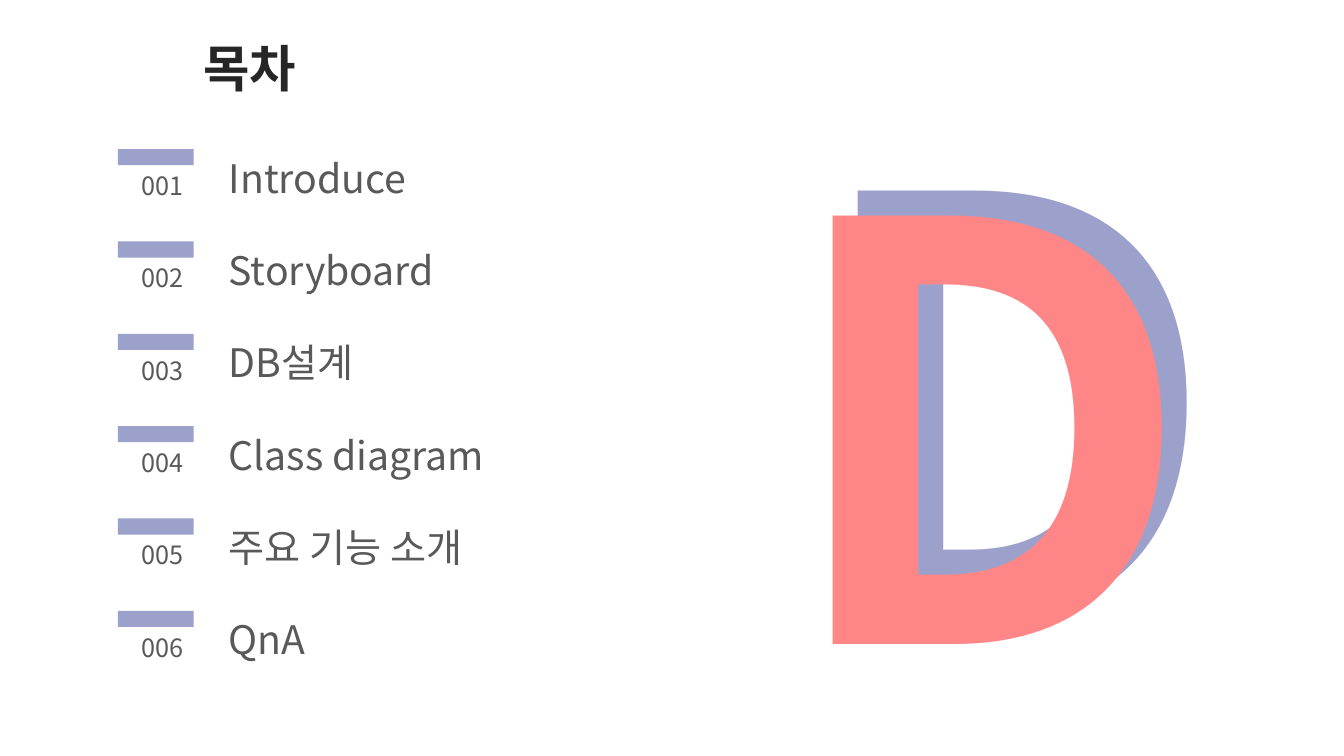
import lxml.etree
import pptx
import pptx.dml.color
import pptx.enum.shapes
import pptx.enum.text
import pptx.oxml.ns
import pptx.util

FONT = "Noto Sans CJK KR"
COLORS = {"lavender": "9CA1CC", "coral": "FF8687", "title": "262626", "body": "595959"}
WIDTH, HEIGHT = 13.33, 7.5
TOPICS = ["Introduce", "Storyboard", "DB설계", "Class diagram", "주요 기능 소개", "QnA"]


def inches(*lengths):
    return [pptx.util.Inches(length) for length in lengths]


def rgb(name):
    return pptx.dml.color.RGBColor.from_string(COLORS[name])


def add_text(shapes, box, text, size, color, bold=False, right=False):
    """Place one line of text in a box given as left, top, width, height."""
    frame = shapes.add_textbox(*inches(*box)).text_frame
    frame.word_wrap = True
    para = frame.paragraphs[0]
    para.text = text
    if right:
        para.alignment = pptx.enum.text.PP_ALIGN.RIGHT
    font = para.font
    font.size, font.bold, font.name = pptx.util.Pt(size), bold, FONT
    font.color.rgb = rgb(color)
    # Hangul takes its typeface from the East Asian font
    qn = pptx.oxml.ns.qn
    properties = para._p.find(qn("a:pPr")).find(qn("a:defRPr"))
    lxml.etree.SubElement(properties, qn("a:ea"), typeface=FONT)


def add_big_letter(slide, box):
    """Two overlapping letters, the front one shifted down and left."""
    left, top, width, height = box
    offset = 0.25
    group = slide.shapes.add_group_shape()
    letter_size = (width - offset, height - offset)
    add_text(group.shapes, (left + offset, top, *letter_size), "D", 413, "lavender", bold=True)
    add_text(group.shapes, (left, top + offset, *letter_size), "D", 413, "coral", bold=True)


def add_topic(slide, box, number, topic):
    """One entry: a bar with its number below, and the topic at the right."""
    left, top, width, height = box
    bar_width, bar_height, topic_indent = 0.75, 0.16, 1.0
    shapes = slide.shapes.add_group_shape().shapes
    bar = shapes.add_shape(pptx.enum.shapes.MSO_SHAPE.RECTANGLE,
                           *inches(left, top, bar_width, bar_height))
    bar.shadow.inherit = False
    bar.fill.solid()
    bar.fill.fore_color.rgb = rgb("lavender")
    bar.line.fill.background()
    add_text(shapes, (left, top + bar_height, bar_width, 0.4),
             f"{number:03}", 18, "body", right=True)
    add_text(shapes, (left + topic_indent, top, width - topic_indent, height),
             topic, 28, "body")


def add_contents(slide, box):
    """The list of topics, spread evenly over the height of the box."""
    left, top, width, height = box
    row_height = 0.57
    pitch = (height - row_height) / (len(TOPICS) - 1)
    for row, topic in enumerate(TOPICS):
        add_topic(slide, (left, top + row * pitch, width, row_height), row + 1, topic)


def main():
    deck = pptx.Presentation()
    deck.slide_width, deck.slide_height = inches(WIDTH, HEIGHT)
    slide = deck.slides.add_slide(deck.slide_layouts[6])
    # Decorative letter
    add_big_letter(slide, (7.64, 0.36, 4.63, 7.3))
    # Heading and list
    add_text(slide.shapes, (1.92, 0.32, 4.57, 0.71), "목차", 36, "title", bold=True)
    add_contents(slide, (1.17, 1.48, 5.41, 5.15))
    deck.save("out.pptx")


if __name__ == "__main__":
    main()
